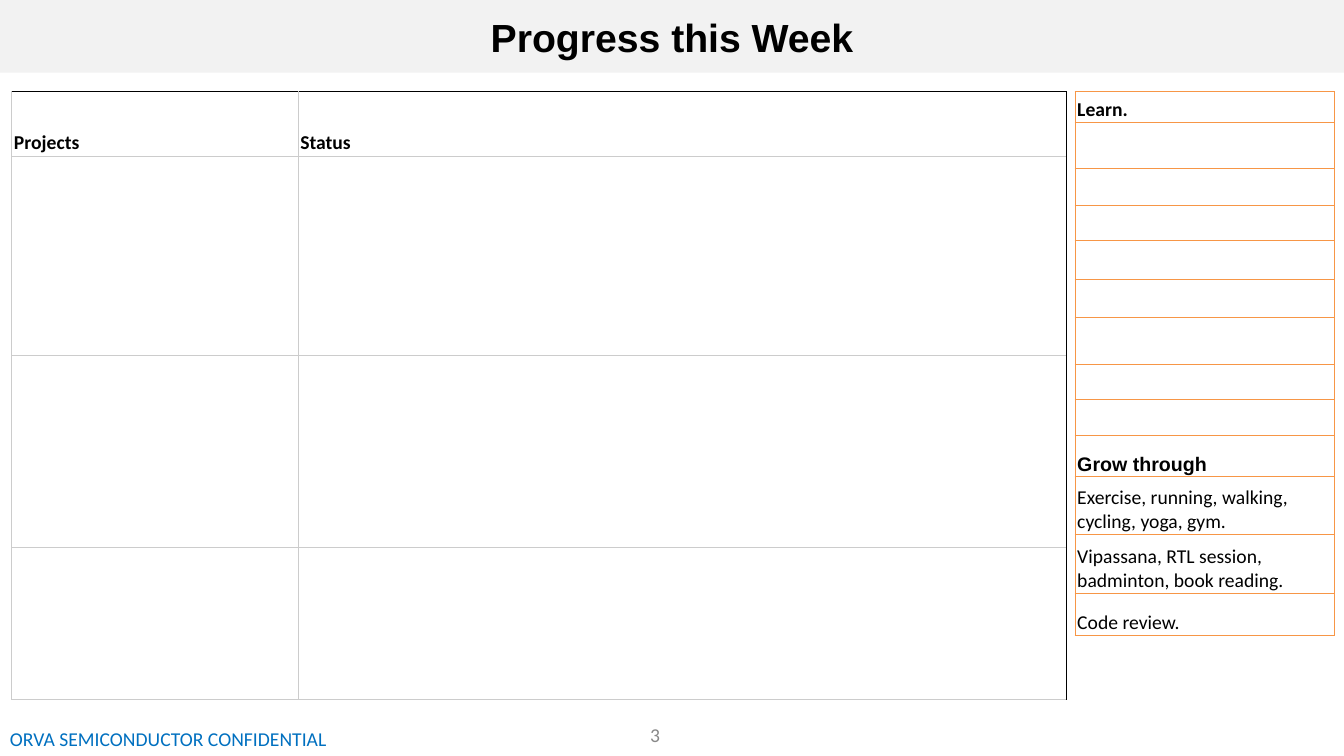
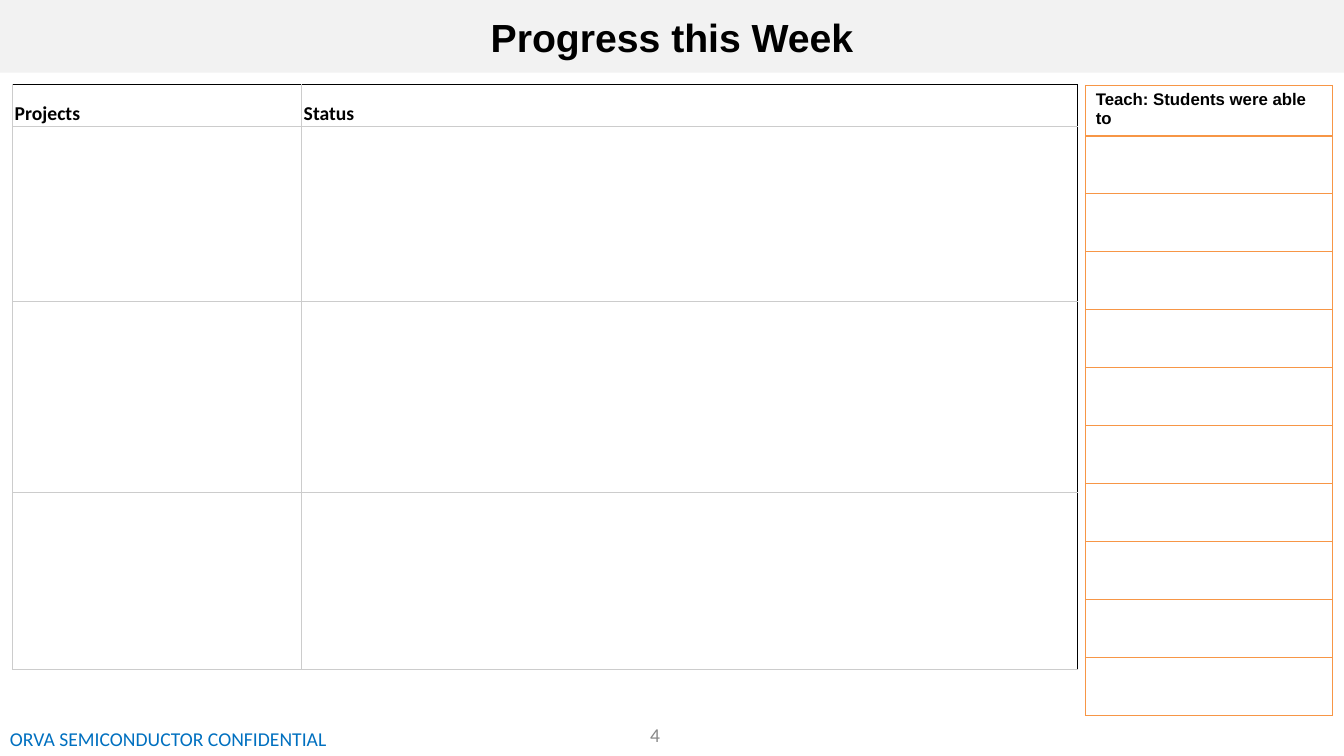
from lxml import etree
from pptx import Presentation
from pptx.dml.color import RGBColor
from pptx.enum.shapes import MSO_SHAPE
from pptx.enum.text import MSO_ANCHOR, PP_ALIGN
from pptx.oxml.ns import qn
from pptx.util import Pt

RECTANGLE = MSO_SHAPE.RECTANGLE
TOP, MIDDLE, BOTTOM = MSO_ANCHOR.TOP, MSO_ANCHOR.MIDDLE, MSO_ANCHOR.BOTTOM
LEFT, CENTER = PP_ALIGN.LEFT, PP_ALIGN.CENTER

BLACK = RGBColor(0x00, 0x00, 0x00)
BAND = RGBColor(0xF2, 0xF2, 0xF2)
GRID = RGBColor(0xCC, 0xCC, 0xCC)
ORANGE = RGBColor(0xF7, 0x96, 0x46)
FOOTER_BLUE = RGBColor(0x00, 0x70, 0xC0)
NUMBER_GRAY = RGBColor(0x88, 0x88, 0x88)

SLIDE_WIDTH, SLIDE_HEIGHT = 960, 540
HEADING, BODY = "Arial", "Calibri"
TITLE = "Progress this Week"
FOOTER = "ORVA SEMICONDUCTOR CONFIDENTIAL"


def add_run(paragraph, text, size=14, font=BODY, color=BLACK, bold=False):
    run = paragraph.add_run()
    run.text = text
    run.font.size = Pt(size)
    run.font.name = font
    run.font.color.rgb = color
    run.font.bold = bold


def fill_frame(frame, text, align, **style):
    frame.word_wrap = True
    frame.vertical_anchor = MIDDLE
    paragraph = frame.paragraphs[0]
    paragraph.alignment = align
    add_run(paragraph, text, **style)


def add_label(slide, box, text, align, color):
    label = slide.shapes.add_textbox(*map(Pt, box))
    fill_frame(label.text_frame, text, align, color=color)


def add_title_band(slide):
    band = slide.shapes.add_shape(RECTANGLE, 0, 0, Pt(SLIDE_WIDTH), Pt(52))
    band.shadow.inherit = False
    band.fill.solid()
    band.fill.fore_color.rgb = BAND
    band.line.fill.background()
    fill_frame(band.text_frame, TITLE, CENTER, size=28, font=HEADING, bold=True)


def add_frame(prs, number):
    slide = prs.slides.add_slide(prs.slide_layouts[6])
    add_label(slide, (0, 515.5, 304, 24), FOOTER, LEFT, FOOTER_BLUE)
    add_label(slide, (440, 510.5, 56, 29), number, CENTER, NUMBER_GRAY)
    add_title_band(slide)
    return slide


def set_borders(cell, borders):
    properties = cell._tc.get_or_add_tcPr()
    for side in "LRTB":
        color, width = borders[side]
        line = etree.SubElement(properties, qn(f"a:ln{side}"), w=str(Pt(width)))
        solid = etree.SubElement(line, qn("a:solidFill"))
        etree.SubElement(solid, qn("a:srgbClr"), val=str(color))


def add_grid(slide, left, top, widths, heights, borders_at):
    table = slide.shapes.add_table(
        len(heights), len(widths), Pt(left), Pt(top),
        Pt(sum(widths)), Pt(sum(heights))).table
    table.first_row = False
    table.horz_banding = False
    for column, width in zip(table.columns, widths):
        column.width = Pt(width)
    for r, height in enumerate(heights):
        table.rows[r].height = Pt(height)
        for c in range(len(widths)):
            cell = table.cell(r, c)
            set_borders(cell, borders_at(r, c))
            cell.fill.background()
            cell.margin_left = cell.margin_right = Pt(1.5)
            cell.margin_top = cell.margin_bottom = Pt(0.75)
            cell.vertical_anchor = BOTTOM
    return table


def write_cell(cell, text, **style):
    add_run(cell.text_frame.paragraphs[0], text, **style)


def project_borders(row, column):
    borders = dict.fromkeys("LRTB", (GRID, 0.75))
    if row == 0:
        borders["T"] = (BLACK, 0.75)
    if column == 1:
        borders["R"] = (BLACK, 0.75)
    return borders


def learn_borders(row, column):
    return dict.fromkeys("LRTB", (ORANGE, 0.75))


def teach_borders(row, column):
    borders = dict.fromkeys("LRTB", (ORANGE, 1))
    if row < 2:
        borders["BT"[row]] = (ORANGE, 2)
    return borders


def add_projects(slide, left, top, widths, heights):
    projects = add_grid(slide, left, top, widths, heights, project_borders)
    for column, heading in enumerate(("Projects", "Status")):
        write_cell(projects.cell(0, column), heading, bold=True)


def add_learning(slide):
    heights = [22, 33, 26.5, 24.5, 28.5, 26.5, 34, 25, 25.5, 29.5, 41.5, 42, 30]
    learning = add_grid(slide, 768, 65.5, [185], heights, learn_borders)
    write_cell(learning.cell(0, 0), "Learn.", bold=True)
    write_cell(learning.cell(9, 0), "Grow through", font=HEADING, bold=True)
    activities = (
        "Exercise, running, walking, cycling, yoga, gym.",
        "Vipassana, RTL session, badminton, book reading.",
        "Code review.",
    )
    for row, activity in enumerate(activities, 10):
        write_cell(learning.cell(row, 0), activity)


def add_teaching(slide):
    heights = [34] + [41.4] * 10
    teaching = add_grid(slide, 775.5, 61, [176.5], heights, teach_borders)
    heading = teaching.cell(0, 0)
    heading.margin_left = heading.margin_right = Pt(7.2)
    heading.margin_top = heading.margin_bottom = Pt(3.6)
    heading.vertical_anchor = TOP
    write_cell(heading, "Teach: Students were able to",
               size=12, font=HEADING, bold=True)


def main():
    prs = Presentation()
    prs.slide_width, prs.slide_height = Pt(SLIDE_WIDTH), Pt(SLIDE_HEIGHT)

    learn_week = add_frame(prs, "3")
    add_projects(learn_week, 8.5, 65.5, [204.5, 548.5], [46, 142.5, 137, 108.5])
    add_learning(learn_week)

    teach_week = add_frame(prs, "4")
    add_projects(teach_week, 9, 60.5, [206.5, 554.5], [30, 125, 136.5, 126.5])
    add_teaching(teach_week)

    prs.save("out.pptx")


if __name__ == "__main__":
    main()
